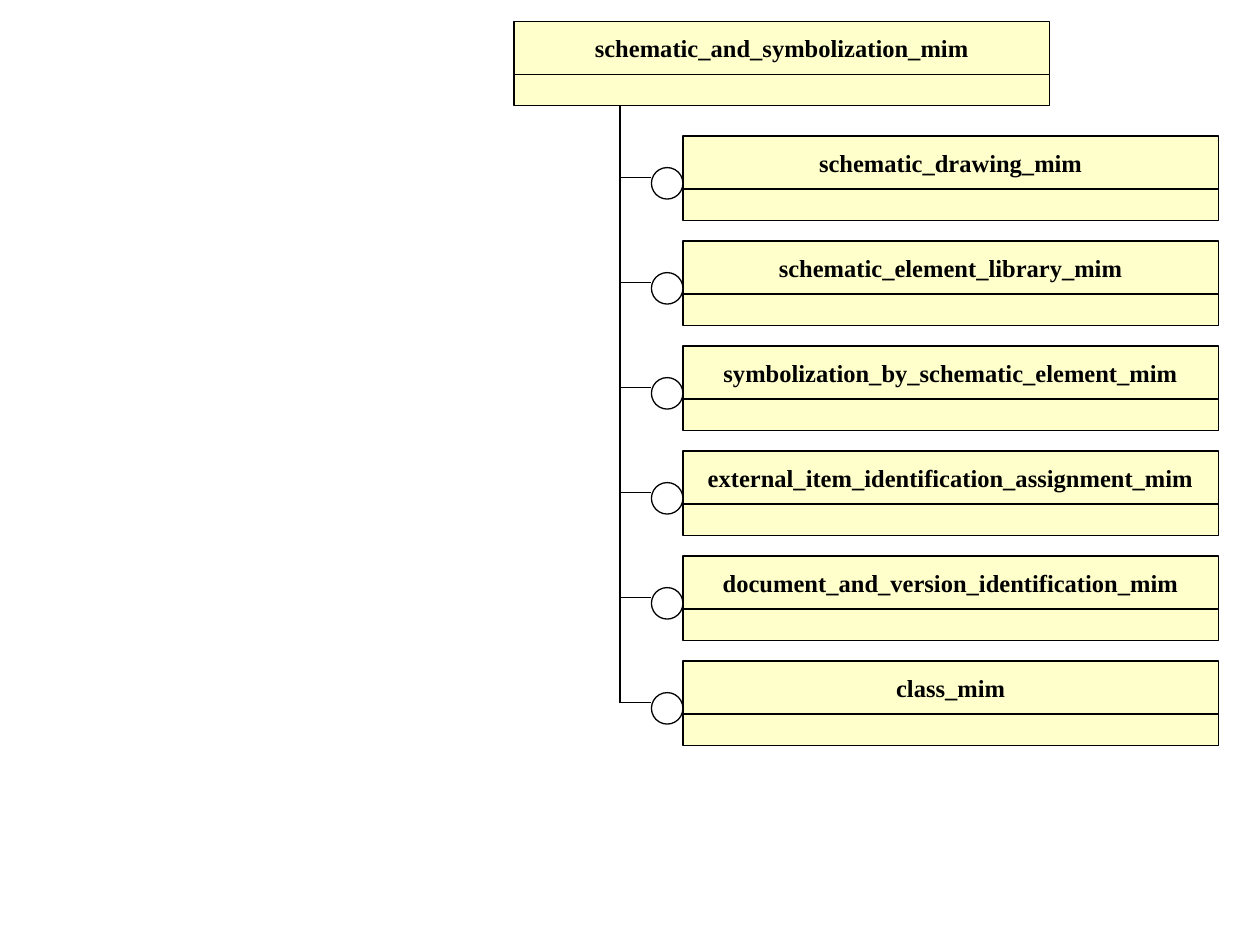
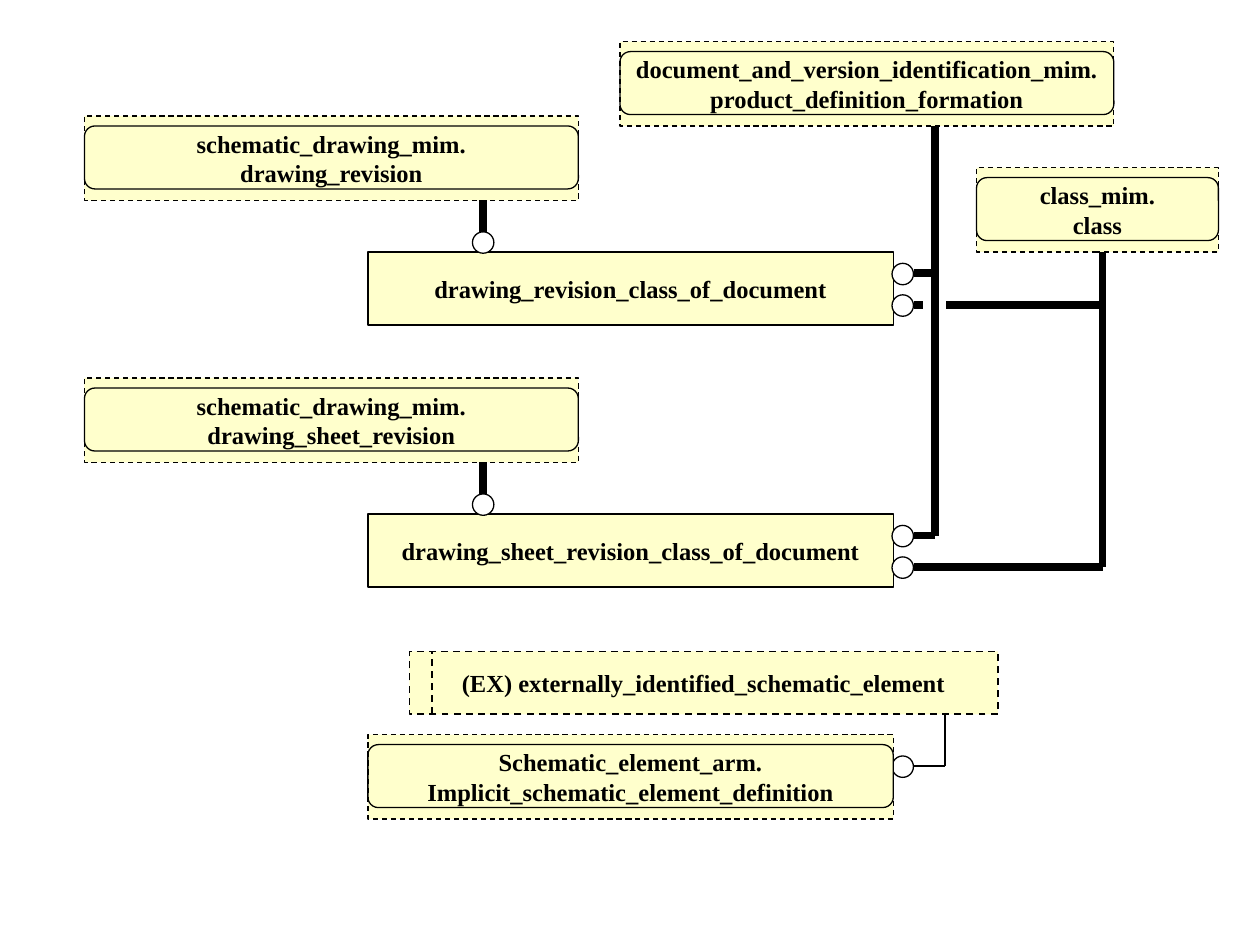
from lxml import etree
from pptx import Presentation
from pptx.dml.color import RGBColor
from pptx.enum.dml import MSO_LINE
from pptx.enum.shapes import MSO_CONNECTOR, MSO_SHAPE
from pptx.enum.text import MSO_ANCHOR, PP_ALIGN
from pptx.oxml.ns import qn
from pptx.util import Inches, Pt

RECTANGLE = MSO_SHAPE.RECTANGLE
ROUNDED = MSO_SHAPE.ROUNDED_RECTANGLE
OVAL = MSO_SHAPE.OVAL
STRAIGHT = MSO_CONNECTOR.STRAIGHT
DASH = MSO_LINE.DASH
CENTER = PP_ALIGN.CENTER
MIDDLE = MSO_ANCHOR.MIDDLE

FONT = "Times New Roman"
BLACK = "000000"
WHITE = "FFFFFF"
CREAM = "FFFFCC"
THIN = 0.75
MEDIUM = 1
THICK = 4.5

SCHEMA_WIDTH = 4.25
SCHEMA_PITCH = 5 / 6
SCHEMAS = [
    "schematic_drawing_mim",
    "schematic_element_library_mim",
    "symbolization_by_schematic_element_mim",
    "external_item_identification_assignment_mim",
    "document_and_version_identification_mim",
    "class_mim",
]


def color(value):
    return RGBColor.from_string(value)


class Diagram:
    def __init__(self, deck):
        self.deck = deck
        self.slide = None

    def new_slide(self):
        self.slide = self.deck.slides.add_slide(self.deck.slide_layouts[6])

    def style_line(self, line, width, dash=None, line_color=BLACK):
        line.color.rgb = color(line_color)
        line.width = Pt(width)
        if dash:
            line.dash_style = dash

    def shape(self, kind, left, top, width, height, fill=CREAM,
              line_color=BLACK, line_width=THIN, dash=None):
        shape = self.slide.shapes.add_shape(
            kind, Inches(left), Inches(top), Inches(width), Inches(height))
        shape.shadow.inherit = False
        if fill:
            shape.fill.solid()
            shape.fill.fore_color.rgb = color(fill)
        else:
            shape.fill.background()
        self.style_line(shape.line, line_width, dash, line_color)
        return shape

    def box(self, text, left, top, width, height, **style):
        box = self.shape(RECTANGLE, left, top, width, height, **style)
        frame = box.text_frame
        frame.text = text
        frame.word_wrap = False
        frame.vertical_anchor = MIDDLE
        for para in frame.paragraphs:
            para.alignment = CENTER
            for span in para.runs:
                span.font.name = FONT
                span.font.size = Pt(14)
                span.font.bold = True
                span.font.color.rgb = color(BLACK)

    def line(self, start, end, width=THIN, dash=None):
        line = self.slide.shapes.add_connector(
            STRAIGHT, *(Inches(value) for value in (*start, *end)))
        self.style_line(line.line, width, dash)
        etree.SubElement(line._element.spPr, qn("a:effectLst"))

    def circle(self, left, top, size=0.17):
        self.shape(OVAL, left, top, size, size, fill=WHITE)

    def schema(self, name, left, top):
        self.box(name, left, top, SCHEMA_WIDTH, 0.42)
        self.shape(RECTANGLE, left, top + 0.42, SCHEMA_WIDTH, 0.25)

    def reference(self, schema, entity, left, top, width):
        self.box(f"{schema}.\n{entity}", left, top, width, 0.67, dash=DASH)
        frame = self.shape(ROUNDED, left, top + 0.08, width, 0.5, fill=None)
        frame.adjustments[0] = 0.167

    def link(self, y, end_x, width=THICK):
        self.circle(7.08, y - 0.08)
        self.line((7.25, y), (end_x, y), width)


def build_schema_tree(diagram):
    diagram.new_slide()
    trunk_x = 4.92
    first_top = 1.08
    last_branch = first_top + (len(SCHEMAS) - 1) * SCHEMA_PITCH + 0.33
    diagram.schema("schematic_and_symbolization_mim", 4.08, 0.17)
    diagram.line((trunk_x, last_branch), (trunk_x, 0.83))
    for index, name in enumerate(SCHEMAS):
        top = first_top + index * SCHEMA_PITCH
        diagram.schema(name, 5.42, top)
        diagram.circle(5.17, top + 0.25, 0.25)
        diagram.line((trunk_x, top + 0.33), (5.17, top + 0.33))


def build_entity_diagram(diagram):
    diagram.new_slide()
    document_x, class_x = 7.42, 8.75
    diagram.reference("document_and_version_identification_mim",
                      "product_definition_formation", 4.92, 0.33, 3.92)
    for top, entity in ((0.92, "drawing_revision"),
                        (3, "drawing_sheet_revision")):
        diagram.reference("schematic_drawing_mim", entity, 0.67, top, 3.92)
        diagram.box(f"{entity}_class_of_document",
                    2.92, top + 1.08, 4.17, 0.58)
        diagram.circle(3.75, top + 0.92)
        diagram.line((3.83, top + 0.92), (3.83, top + 0.67), THICK)
        diagram.link(top + 1.25, document_x)
        diagram.link(top + 1.5, class_x)

    diagram.line((class_x, 4.5), (class_x, 2), THICK)
    diagram.shape(RECTANGLE, 7.33, 2.33, 0.17, 0.17,
                  fill=WHITE, line_color=WHITE)
    diagram.line((document_x, 4.25), (document_x, 1), THICK)
    diagram.reference("class_mim", "class", 7.75, 1.33, 1.92)

    diagram.box("(EX) externally_identified_schematic_element",
                3.25, 5.17, 4.67, 0.5, line_width=MEDIUM, dash=DASH)
    diagram.line((3.43, 5.67), (3.43, 5.17), MEDIUM, DASH)
    diagram.link(6.08, 7.5, THIN)
    diagram.line((7.5, 6.08), (7.5, 5.67))
    diagram.reference("Schematic_element_arm",
                      "Implicit_schematic_element_definition",
                      2.92, 5.83, 4.17)


def main():
    deck = Presentation()
    deck.slide_width = Inches(10)
    deck.slide_height = Inches(7.5)
    diagram = Diagram(deck)
    build_schema_tree(diagram)
    build_entity_diagram(diagram)
    deck.save("out.pptx")


if __name__ == "__main__":
    main()
